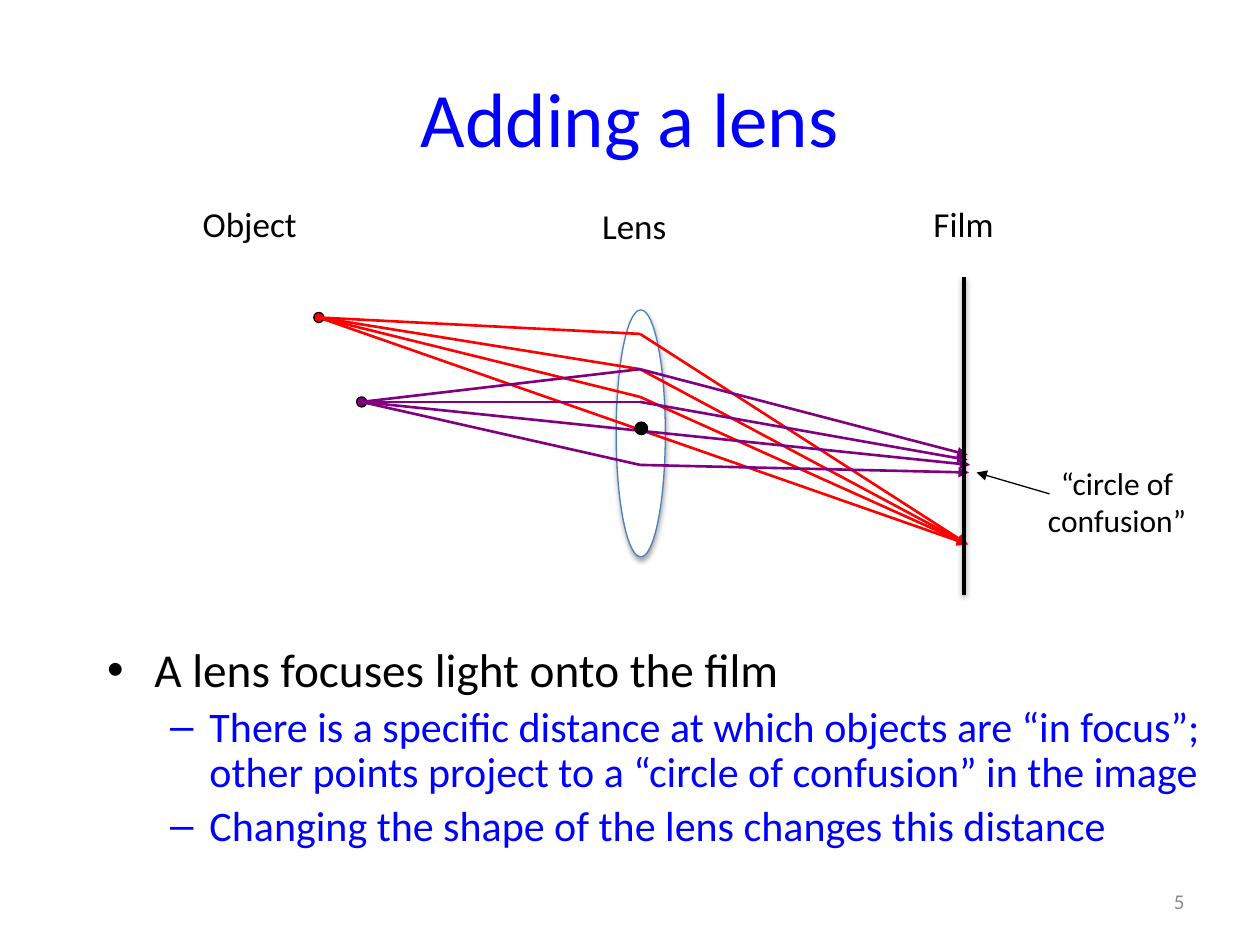
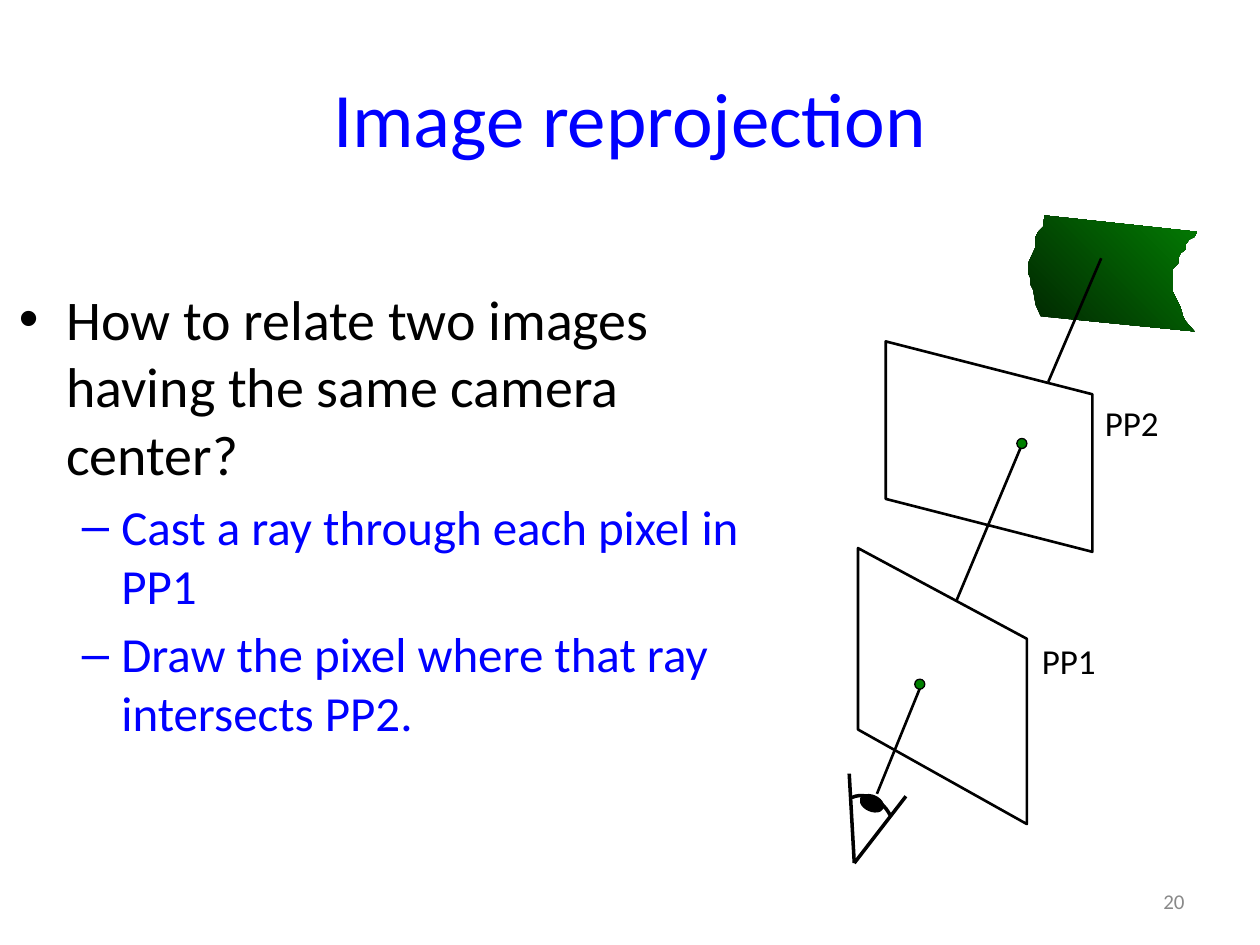
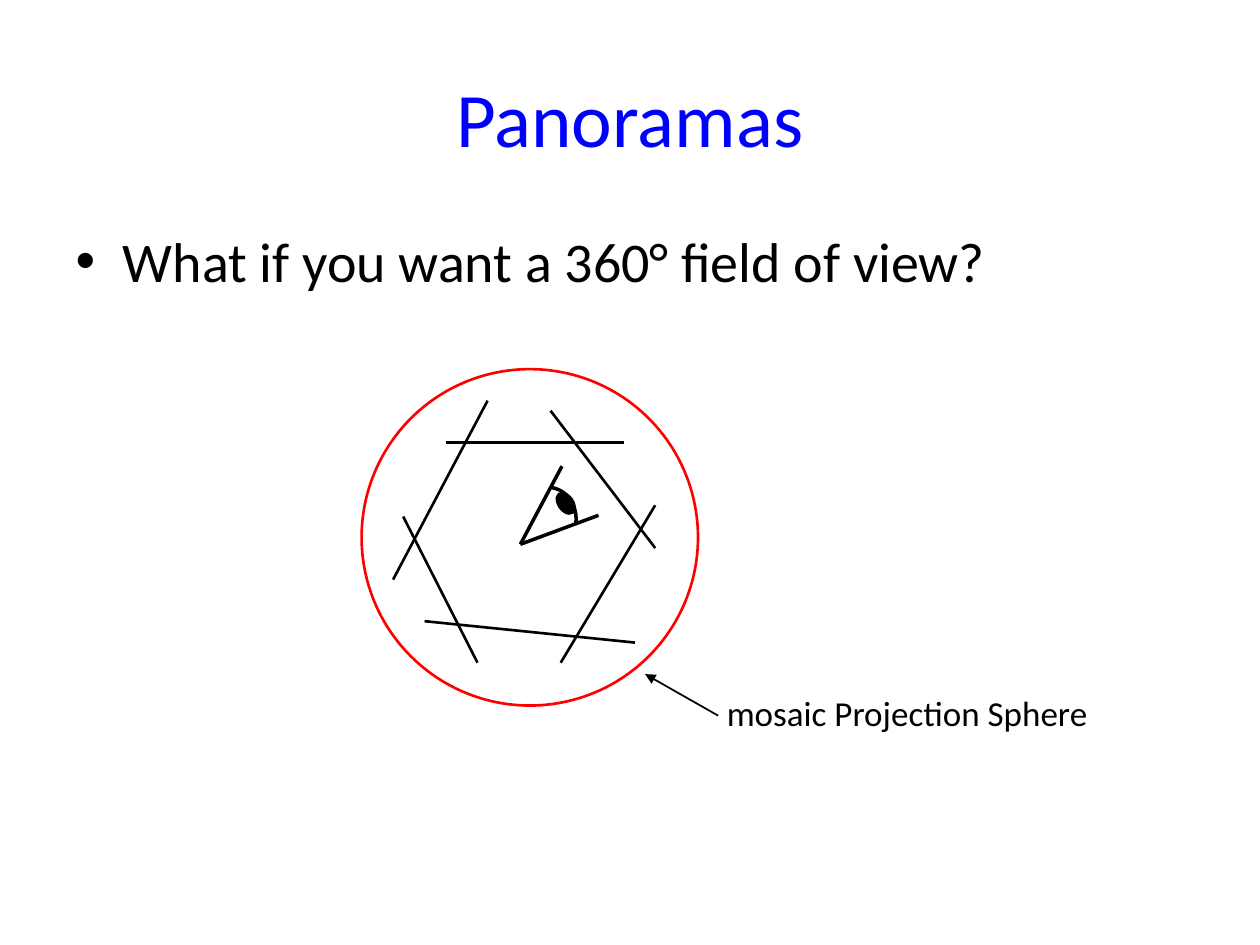
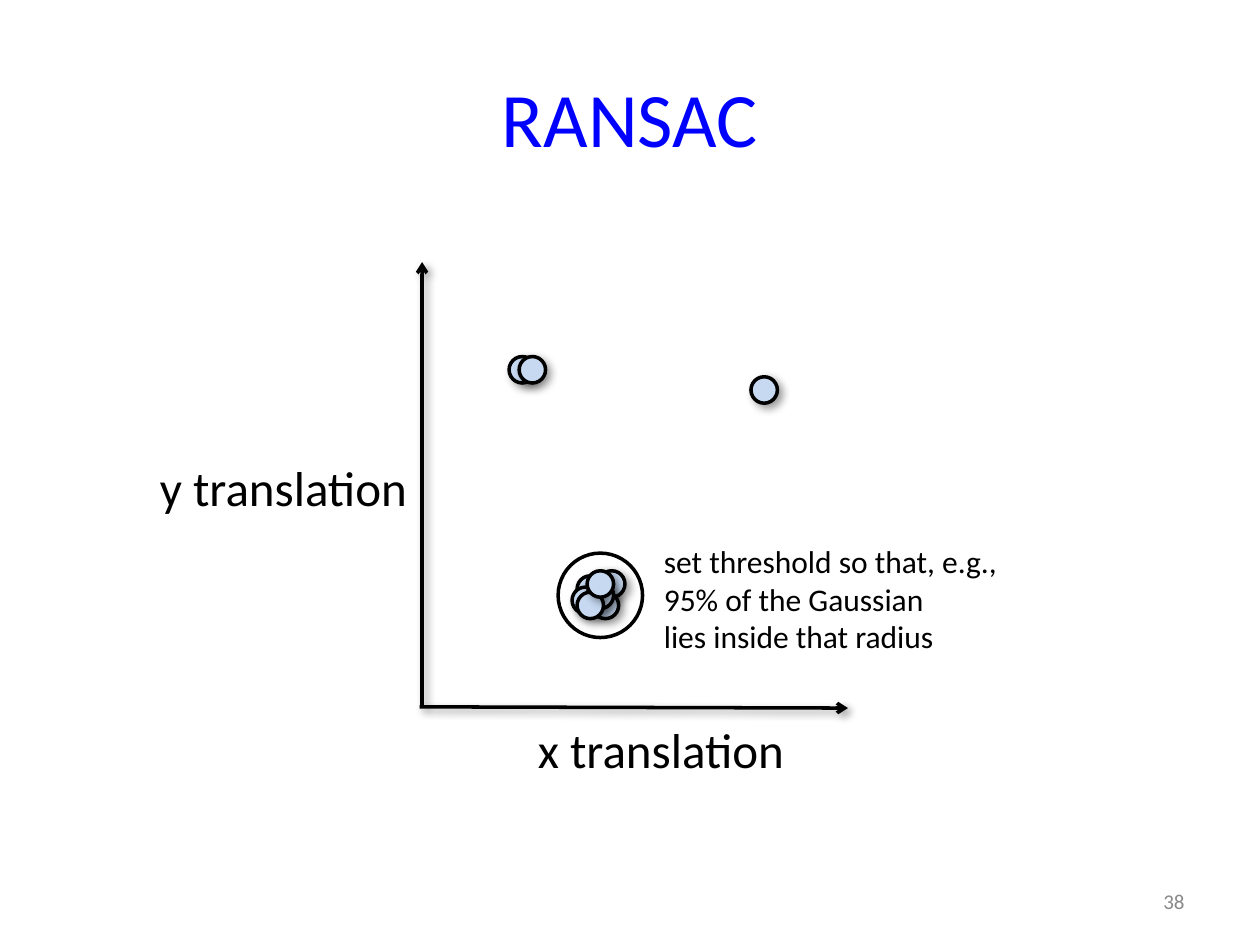
from lxml.etree import SubElement
from pptx import Presentation
from pptx.dml.color import RGBColor
from pptx.enum.shapes import MSO_CONNECTOR, MSO_SHAPE
from pptx.enum.text import MSO_ANCHOR, MSO_AUTO_SIZE, PP_ALIGN
from pptx.oxml.ns import qn
from pptx.util import Inches, Pt

FONT = "Calibri"
BLACK = RGBColor(0x00, 0x00, 0x00)
WHITE = RGBColor(0xFF, 0xFF, 0xFF)
BLUE = RGBColor(0x00, 0x00, 0xFF)
RED = RGBColor(0xFF, 0x00, 0x00)
PURPLE = RGBColor(0x80, 0x00, 0x80)
GREEN = RGBColor(0x00, 0x80, 0x00)
DARK_GREEN = RGBColor(0x01, 0x25, 0x01)
MID_GREEN = RGBColor(0x03, 0x7C, 0x03)
LENS_BLUE = RGBColor(0x4B, 0x7E, 0xBC)
PALE_BLUE = RGBColor(0xC6, 0xD9, 0xF1)
GREY = RGBColor(0x89, 0x89, 0x89)

# Shadows: opacity in percent, blur and distance in points, direction in degrees
LENS_SHADOW = (35, 3.1, 1.8, 90)
FILM_SHADOW = (38, 3.1, 1.6, 90)
PLOT_SHADOW = (40, 5, 3, 45)


def write_text(frame, text, size=20, color=BLACK, align=None, level=0, spacing=None):
    """Add one paragraph per line of text, using the first paragraph if it is empty."""
    for line in text.split("\n"):
        para = frame.paragraphs[0]
        if para.runs:
            para = frame.add_paragraph()
        para.level = level
        para.alignment = align
        para.line_spacing = spacing
        span = para.add_run()
        span.text = line
        span.font.name = FONT
        span.font.size = Pt(size)
        span.font.color.rgb = color


def draw(slide, kind, place, line=BLACK, width=1.5, fill=None, tail=None, shadow=None):
    """Draw a "line" (x1, y1, x2, y2), an "outline" (points) or a preset shape (box)."""
    if kind == "line":
        item = slide.shapes.add_connector(
            MSO_CONNECTOR.STRAIGHT, *[Inches(value) for value in place])
    elif kind == "outline":
        points = [(Inches(x), Inches(y)) for x, y in place]
        builder = slide.shapes.build_freeform(*points[0])
        builder.add_line_segments(points[1:], close=fill is not None)
        item = builder.convert_to_shape()
    else:
        item = slide.shapes.add_shape(kind, *[Inches(value) for value in place])
    if kind != "line":
        if fill is None:
            item.fill.background()
        else:
            item.fill.solid()
            item.fill.fore_color.rgb = fill
    if line is None:
        item.line.fill.background()
    else:
        item.line.color.rgb = line
        item.line.width = Pt(width)
    properties = item._element.spPr
    if tail:
        SubElement(properties.find(qn("a:ln")), qn("a:tailEnd"), type=tail)
    effects = SubElement(properties, qn("a:effectLst"))
    if shadow:
        opacity, blur, distance, direction = shadow
        outer = SubElement(effects, qn("a:outerShdw"), blurRad=str(Pt(blur)),
                           dist=str(Pt(distance)), dir=str(direction * 60000),
                           rotWithShape="0")
        black = SubElement(outer, qn("a:srgbClr"), val="000000")
        SubElement(black, qn("a:alpha"), val=str(opacity * 1000))
    return item


deck = Presentation()
deck.slide_width, deck.slide_height = Inches(10), Inches(7.5)

# Titles, bullet lists and page numbers
pages = [
    ("Adding a lens", "5", (0.75, 5.08, 9.06, 2.17), (27, 24), 0.9, [
        (0, "A lens focuses light onto the film"),
        (1, "There is a specific distance at which objects are “in focus”; "
            "other points project to a “circle of confusion” in the image"),
        (1, "Changing the shape of the lens changes this distance")]),
    ("Image reprojection", "20", (0.05, 2.21, 6.23, 4.95), (32, 28), None, [
        (0, "How to relate two images having the same camera center?"),
        (1, "Cast a ray through each pixel in PP1"),
        (1, "Draw the pixel where that ray intersects PP2.")]),
    ("Panoramas", None, (0.5, 1.75, 9, 4.95), (32, 28), None, [
        (0, "What if you want a 360° field of view?")]),
    ("RANSAC", "38", None, None, None, []),
]
slides = []
for title, number, place, sizes, spacing, bullets in pages:
    slide = deck.slides.add_slide(deck.slide_layouts[1 if bullets else 5])
    slides.append(slide)
    heading = slide.shapes.title
    heading.left, heading.top, heading.width, heading.height = [
        Inches(value) for value in (0.5, 0.3, 9, 1.25)]
    heading.text_frame.vertical_anchor = MSO_ANCHOR.MIDDLE
    write_text(heading.text_frame, title, size=44, color=BLUE, align=PP_ALIGN.CENTER)
    if bullets:
        body = slide.placeholders[1]
        body.left, body.top, body.width, body.height = [Inches(value) for value in place]
        body.text_frame.auto_size = MSO_AUTO_SIZE.NONE
        for level, text in bullets:
            write_text(body.text_frame, text, size=sizes[level],
                       color=(BLACK, BLUE)[level], level=level, spacing=spacing)
    if number:
        box = slide.shapes.add_textbox(Inches(7.17), Inches(6.95), Inches(2.33), Inches(0.4))
        box.text_frame.word_wrap = True
        box.text_frame.vertical_anchor = MSO_ANCHOR.MIDDLE
        write_text(box.text_frame, number, size=12, color=GREY, align=PP_ALIGN.RIGHT)
lens_slide, reprojection_slide, panorama_slide, ransac_slide = slides

# Lens: rays bend at the lens plane, or run straight through its centre
draw(lens_slide, MSO_SHAPE.FLOWCHART_CONNECTOR, (4.89, 2.46, 0.39, 1.96),
     line=LENS_BLUE, width=0.75, fill=WHITE, shadow=LENS_SHADOW)
lens_x = 5.08
focus = (7.68, 4.32)
ray_fans = [
    (RED, (2.53, 2.52), focus, [(2.65, focus), (2.93, focus), (3.15, focus)]),
    (PURPLE, (2.87, 3.19), (7.7, 3.69),
     [(3.69, (7.69, 3.75)), (3.19, (7.68, 3.65)), (2.93, (7.68, 3.61))]),
]
for color, source, straight_end, bent_rays in ray_fans:
    draw(lens_slide, "line", (*source, *straight_end), line=color, tail="triangle")
    draw(lens_slide, MSO_SHAPE.OVAL, (source[0] - 0.04, source[1] - 0.04, 0.08, 0.08),
         width=0.75, fill=color)
    for bend_y, end in bent_rays:
        draw(lens_slide, "line", (*source, lens_x, bend_y), line=color)
        draw(lens_slide, "line", (lens_x, bend_y, *end), line=color, tail="triangle")
draw(lens_slide, MSO_SHAPE.OVAL, (5.04, 3.35, 0.1, 0.1), width=0.75, fill=BLACK)
draw(lens_slide, "line", (8.33, 3.92, 7.75, 3.75), width=0.75, tail="triangle")
draw(lens_slide, "line", (7.65, 2.2, 7.65, 4.72), width=2, shadow=FILM_SHADOW)

# Reprojection: two picture planes, the scene surface and the ray between them
plane_2 = [(8.67, 3.13), (7.03, 2.71), (7.03, 3.96), (8.67, 4.38)]
plane_1 = [(6.81, 5.79), (8.15, 6.54), (8.15, 5.07), (6.81, 4.35)]
for plane in (plane_2, plane_1):
    draw(reprojection_slide, "outline", plane, fill=WHITE)
surface_left = [
    (8.29, 1.71), (8.28, 1.8), (8.24, 1.84), (8.22, 1.88), (8.22, 1.96), (8.16, 2.09),
    (8.16, 2.17), (8.18, 2.21), (8.18, 2.26), (8.2, 2.3), (8.22, 2.42), (8.26, 2.51)]
surface_right = [
    (9.48, 2.63), (9.41, 2.55), (9.39, 2.51), (9.37, 2.44), (9.31, 2.32), (9.31, 2.13),
    (9.35, 2.09), (9.35, 2.05), (9.37, 2.01), (9.41, 1.98), (9.41, 1.94), (9.44, 1.9),
    (9.48, 1.88), (9.5, 1.84)]
surface = draw(reprojection_slide, "outline", surface_left + surface_right,
               line=None, fill=DARK_GREEN)
surface.fill.gradient()
surface.fill.gradient_angle = 45
for stop, color in zip(surface.fill.gradient_stops, (DARK_GREEN, MID_GREEN)):
    stop.color.rgb = color
for ray in [(8.32, 3.03, 8.74, 2.05), (7.59, 4.77, 8.11, 3.53), (6.96, 6.3, 7.31, 5.44)]:
    draw(reprojection_slide, "line", ray)
for left, top in [(8.07, 3.48), (7.26, 5.39)]:
    draw(reprojection_slide, MSO_SHAPE.OVAL, (left, top, 0.08, 0.08), width=0.75, fill=GREEN)

# Panorama: views around the camera inside the projection sphere
for view in [(3.54, 3.51, 4.95, 3.51), (4.37, 3.26, 5.2, 4.35), (5.2, 4.01, 4.45, 5.26),
             (5.04, 5.1, 3.37, 4.93), (3.79, 5.26, 3.2, 4.1), (3.87, 3.18, 3.12, 4.6)]:
    draw(panorama_slide, "line", view)
draw(panorama_slide, MSO_SHAPE.OVAL, (2.87, 2.93, 2.67, 2.67), line=RED)
draw(panorama_slide, "line", (5.7, 5.68, 5.12, 5.35), width=1, tail="triangle")

# Eyes: a curved cornea between two lids, with a tilted pupil
eyes = [
    (reprojection_slide, (6.78, 6.85), [(6.74, 6.14), (7.19, 6.32)],
     [(6.76, 6.33), (6.87, 6.28), (7.01, 6.35), (7.07, 6.48)], (6.86, 6.28), 294),
    (panorama_slide, (4.13, 4.32), [(4.46, 3.7), (4.75, 4.09)],
     [(4.38, 3.87), (4.5, 3.89), (4.59, 4.01), (4.57, 4.16)], (4.43, 3.9), 324.7),
]
curve_steps = 12
for slide, corner, lid_ends, controls, pupil_corner, tilt in eyes:
    cornea = []
    for step in range(curve_steps + 1):
        t = step / curve_steps
        weights = ((1 - t) ** 3, 3 * t * (1 - t) ** 2, 3 * t ** 2 * (1 - t), t ** 3)
        cornea.append([sum(weight * point[axis] for weight, point in zip(weights, controls))
                       for axis in (0, 1)])
    draw(slide, "outline", cornea, width=2)
    for lid_end in lid_ends:
        draw(slide, "line", (*lid_end, *corner), width=2)
    pupil = draw(slide, MSO_SHAPE.OVAL, (*pupil_corner, 0.12, 0.19), width=1, fill=BLACK)
    pupil.rotation = tilt

# RANSAC: axes, votes and the threshold circle
for axis_line in [(3.35, 5.6, 3.35, 2.08), (3.33, 5.61, 6.73, 5.62)]:
    draw(ransac_slide, "line", axis_line, width=2, tail="arrow", shadow=PLOT_SHADOW)
votes = [(4.58, 4.57), (4.75, 4.53), (4.54, 4.66), (4.04, 2.83), (4.12, 2.83),
         (4.7, 4.7), (4.66, 4.62), (4.58, 4.7), (4.66, 4.53), (5.96, 2.99)]
for left, top in votes:
    draw(ransac_slide, MSO_SHAPE.OVAL, (left, top, 0.21, 0.21), width=2,
         fill=PALE_BLUE, shadow=PLOT_SHADOW)
draw(ransac_slide, MSO_SHAPE.OVAL, (4.43, 4.39, 0.67, 0.67), width=2)

# Labels of all the diagrams
labels = [
    (lens_slide, (8.19, 3.63, 1.35, 0.7), "“circle of\nconfusion”", 18, PP_ALIGN.CENTER, False),
    (lens_slide, (7.31, 1.56, 0.68, 0.44), "Film", 20, None, False),
    (lens_slide, (1.51, 1.56, 0.95, 0.44), "Object", 20, None, False),
    (lens_slide, (4.68, 1.57, 0.72, 0.44), "Lens", 20, None, False),
    (reprojection_slide, (8.67, 3.14, 0.73, 0.43), "PP2", 20, None, False),
    (reprojection_slide, (8.17, 5.03, 0.73, 0.43), "PP1", 20, None, False),
    (panorama_slide, (5.67, 5.44, 3.1, 0.44), "mosaic Projection Sphere", 20, None, False),
    (ransac_slide, (4.17, 5.66, 2.18, 0.57), "x translation", 28, None, False),
    (ransac_slide, (1.17, 3.58, 2.19, 0.57), "y translation", 28, None, False),
    (ransac_slide, (5.17, 4.25, 3.08, 1.01),
     "set threshold so that, e.g., 95% of the Gaussian\nlies inside that radius",
     18, None, True),
]
for slide, place, text, size, align, wrap in labels:
    box = slide.shapes.add_textbox(*[Inches(value) for value in place])
    box.text_frame.word_wrap = wrap
    box.text_frame.auto_size = MSO_AUTO_SIZE.SHAPE_TO_FIT_TEXT
    write_text(box.text_frame, text, size=size, align=align)

deck.save("out.pptx")
